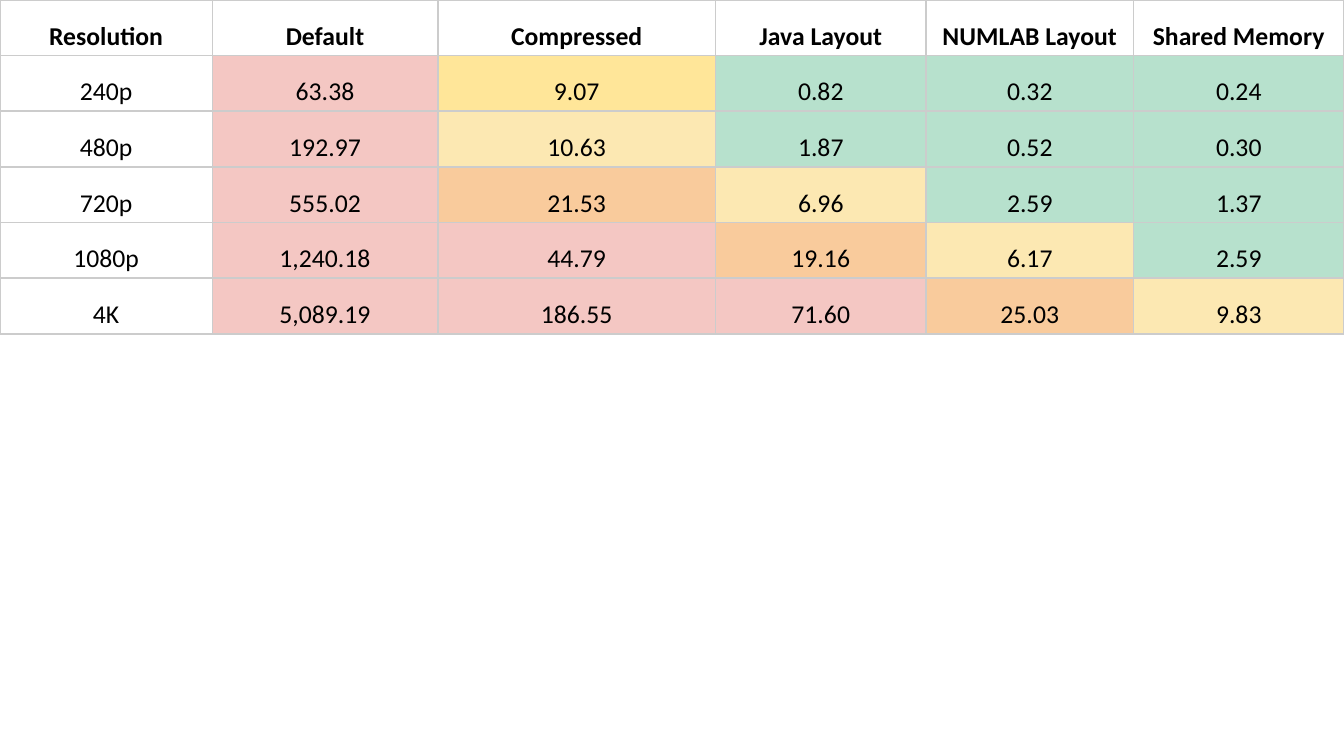
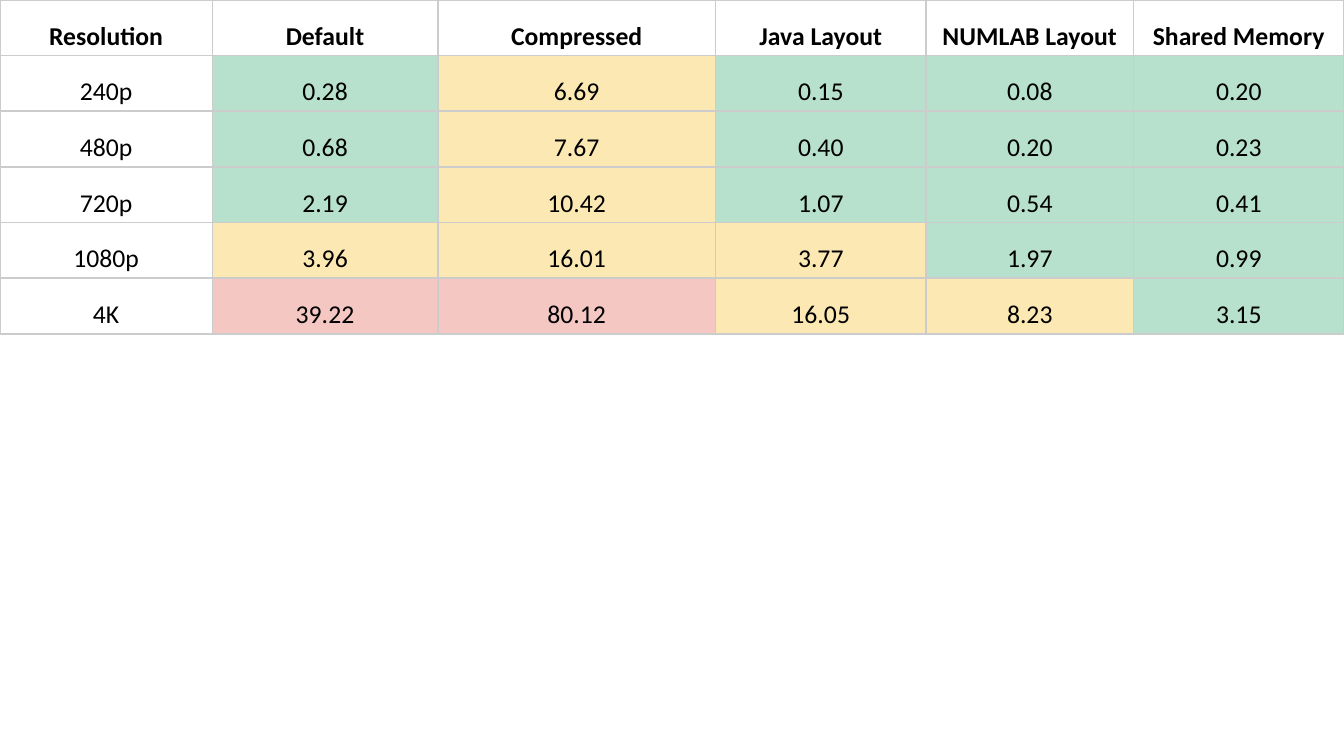
import pptx
import pptx.util
import pptx.dml.color
import pptx.enum.text
import pptx.oxml
import pptx.oxml.ns

Cm = pptx.util.Cm

FONT = "Calibri"
BLACK, GRID = "000000", "CCCCCC"
GREEN, YELLOW, ORANGE, RED = "B7E1CD", "FCE8B2", "F9CB9C", "F4C7C3"
GOLD = "FFE699"

WIDTHS = [3.21, 3.41, 4.2, 3.18, 3.14, 3.18]
HEIGHT = 5.05
HEADS = ["Resolution", "Default", "Compressed", "Java Layout",
         "NUMLAB Layout", "Shared Memory"]
SIZES = ["240p", "480p", "720p", "1080p", "4K"]

# Each table: values by resolution, (upper limit, colour) steps, and
# colours for single cells given by (row, column)
TABLES = [
    ([[63.38, 9.07, 0.82, 0.32, 0.24],
      [192.97, 10.63, 1.87, 0.52, 0.30],
      [555.02, 21.53, 6.96, 2.59, 1.37],
      [1240.18, 44.79, 19.16, 6.17, 2.59],
      [5089.19, 186.55, 71.60, 25.03, 9.83]],
     [(3.5, GREEN), (15, YELLOW), (30, ORANGE)],
     {(1, 2): GOLD}),
    ([[0.28, 6.69, 0.15, 0.08, 0.20],
      [0.68, 7.67, 0.40, 0.20, 0.23],
      [2.19, 10.42, 1.07, 0.54, 0.41],
      [3.96, 16.01, 3.77, 1.97, 0.99],
      [39.22, 80.12, 16.05, 8.23, 3.15]],
     [(3.5, GREEN), (30, YELLOW)],
     {}),
]


def color(code):
    """Turn a hex string into a colour."""
    return pptx.dml.color.RGBColor.from_string(code)


def grade(value, steps):
    """Return the colour of the first step whose limit is above value."""
    return next((code for limit, code in steps if value < limit), RED)


def border(cell):
    """Draw thin lines on all four sides of a cell."""
    props = cell._tc.get_or_add_tcPr()
    for spot, side in enumerate("LRTB"):
        line = pptx.oxml.parse_xml(
            f'<a:ln{side} {pptx.oxml.ns.nsdecls("a")} w="{pptx.util.Pt(0.75)}">'
            f'<a:solidFill><a:srgbClr val="{GRID}"/></a:solidFill>'
            f'</a:ln{side}>')
        props.insert(spot, line)


def write(cell, text, fill=None, bold=False):
    """Set the text, fill and borders of a cell."""
    cell.margin_left = cell.margin_right = Cm(0.07)
    cell.margin_top = cell.margin_bottom = Cm(0.05)
    cell.vertical_anchor = pptx.enum.text.MSO_ANCHOR.BOTTOM
    if fill:
        cell.fill.solid()
        cell.fill.fore_color.rgb = color(fill)
    else:
        cell.fill.background()
    border(cell)
    cell.text_frame.text = text
    para = cell.text_frame.paragraphs[0]
    para.alignment = pptx.enum.text.PP_ALIGN.CENTER
    font = para.runs[0].font
    font.name, font.size, font.bold = FONT, pptx.util.Pt(11), bold
    font.color.rgb = color(BLACK)


def add_grid(slide, values, steps, marks):
    """Add a table of times, coloured by how long they are."""
    count = len(SIZES) + 1
    table = slide.shapes.add_table(count, len(HEADS), 0, 0,
                                   Cm(sum(WIDTHS)), Cm(HEIGHT)).table
    table.first_row = table.horz_banding = False
    for column, width in zip(table.columns, WIDTHS):
        column.width = Cm(width)
    for row in table.rows:
        row.height = Cm(HEIGHT / count)
    for col, head in enumerate(HEADS):
        write(table.cell(0, col), head, bold=True)
    for row, (size, times) in enumerate(zip(SIZES, values), 1):
        write(table.cell(row, 0), size)
        for col, time in enumerate(times, 1):
            fill = marks.get((row, col), grade(time, steps))
            write(table.cell(row, col), f"{time:,.2f}", fill)


def main():
    """Build one slide for each table."""
    deck = pptx.Presentation()
    deck.slide_width, deck.slide_height = Cm(20.32), Cm(11.43)
    for values, steps, marks in TABLES:
        slide = deck.slides.add_slide(deck.slide_layouts[6])
        add_grid(slide, values, steps, marks)
    deck.save("out.pptx")


main()
